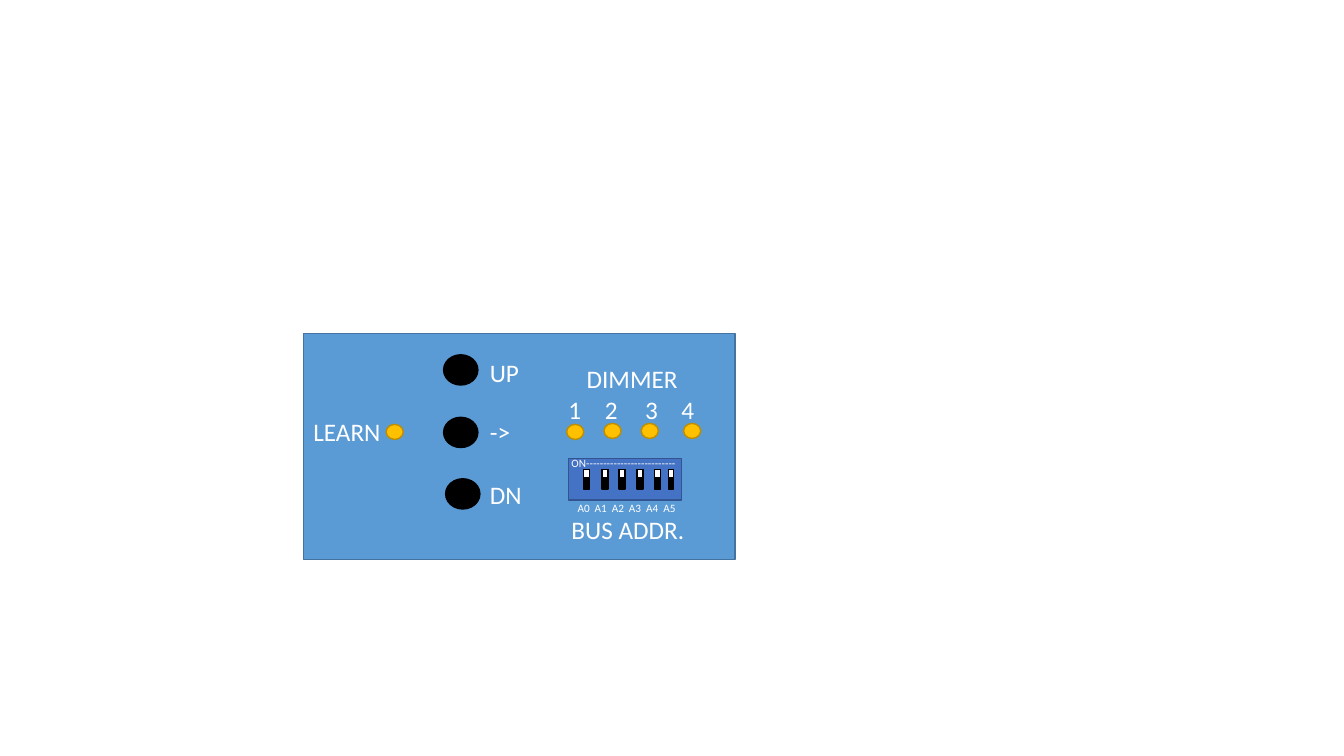
from lxml import etree
from pptx import Presentation
from pptx.dml.color import RGBColor
from pptx.enum.shapes import MSO_SHAPE as Preset
from pptx.enum.text import MSO_AUTO_SIZE as AutoSize, PP_ALIGN as Align
from pptx.oxml.ns import qn
from pptx.util import Inches, Pt

COLORS = {
    "panel": "5B9BD5", "panel_line": "43739E",
    "led": "FFC000", "led_line": "BD8E00",
    "switch": "4472C4", "switch_line": "325491",
    "black": "000000", "white": "FFFFFF",
}


def add_preset(shapes, preset, left, top, width, height, fill, line):
    shape = shapes.add_shape(preset, Inches(left), Inches(top), Inches(width), Inches(height))
    shape.shadow.inherit = False
    shape.fill.solid()
    shape.fill.fore_color.rgb = RGBColor.from_string(COLORS[fill])
    shape.line.color.rgb = RGBColor.from_string(COLORS[line])
    shape.line.width = Pt(1)


def add_text(shapes, text, left, top, width, height, size=18, wrap=False,
             aligns=(Align.LEFT,), tabs=()):
    """Add one paragraph per line; tabs are left tab stops in inches."""
    box = shapes.add_textbox(Inches(left), Inches(top), Inches(width), Inches(height))
    frame = box.text_frame
    frame.word_wrap = wrap
    frame.auto_size = AutoSize.SHAPE_TO_FIT_TEXT
    for index, (line, align) in enumerate(zip(text.split("\n"), aligns)):
        paragraph = frame.add_paragraph() if index else frame.paragraphs[0]
        paragraph.alignment = align
        run = paragraph.add_run()
        run.text = line
        run.font.name = "Calibri"
        run.font.size = Pt(size)
        run.font.color.rgb = RGBColor.from_string(COLORS["white"])
        if "\t" in line:
            tab_list = etree.SubElement(paragraph._p.get_or_add_pPr(), qn("a:tabLst"))
            for position in tabs:
                etree.SubElement(tab_list, qn("a:tab"), pos=str(Inches(position)), algn="l")


presentation = Presentation()
presentation.slide_width = Inches(13.33)
presentation.slide_height = Inches(7.5)
slide = presentation.slides.add_slide(presentation.slide_layouts[6])
shapes = slide.shapes

# Panel
add_preset(shapes, Preset.RECTANGLE, 3.01, 3.31, 4.28, 2.24, "panel", "panel_line")

# Push buttons with their labels
for label, left, top, label_top, label_width in [
    ("UP", 4.4, 3.52, 3.5, 0.49),
    ("->", 4.4, 4.14, 4.08, 0.41),
    ("DN", 4.42, 4.75, 4.71, 0.52),
]:
    add_preset(shapes, Preset.OVAL, left, top, 0.34, 0.3, "black", "black")
    add_text(shapes, label, 4.76, label_top, label_width, 0.4)

# Learn and dimmer lamps
for left, top in [(3.83, 4.21), (5.62, 4.21), (5.99, 4.2), (6.36, 4.2), (6.78, 4.2)]:
    add_preset(shapes, Preset.OVAL, left, top, 0.17, 0.15, "led", "led_line")

# Panel captions
add_text(shapes, "DIMMER\n1\t2\t3\t4", 5.54, 3.56, 1.46, 0.71, wrap=True,
         aligns=(Align.CENTER, Align.LEFT), tabs=(0.36, 0.76, 1.12))
add_text(shapes, "BUS ADDR.", 5.57, 5.05, 1.33, 0.4)
add_text(shapes, "LEARN", 3.01, 4.08, 0.87, 0.4)

# Address switch: body, levers and lettering
switch = shapes.add_group_shape().shapes
add_preset(switch, Preset.RECTANGLE, 5.64, 4.55, 1.12, 0.41, "switch", "switch_line")
add_text(switch, "ON" + "-" * 26, 5.57, 4.48, 1.26, 0.24, size=8)
for left, width in [(5.79, 0.06), (5.97, 0.06), (6.14, 0.06),
                    (6.32, 0.06), (6.49, 0.06), (6.63, 0.05)]:
    for height, fill in [(0.19, "black"), (0.08, "white")]:
        add_preset(switch, Preset.RECTANGLE, left, 4.66, width, height, fill, "black")
add_text(switch, "\t".join(f"A{bit}" for bit in range(6)), 5.63, 4.92, 1.18, 0.24,
         size=8, wrap=True, tabs=[0.17 * bit for bit in range(1, 6)])

presentation.save("out.pptx")
